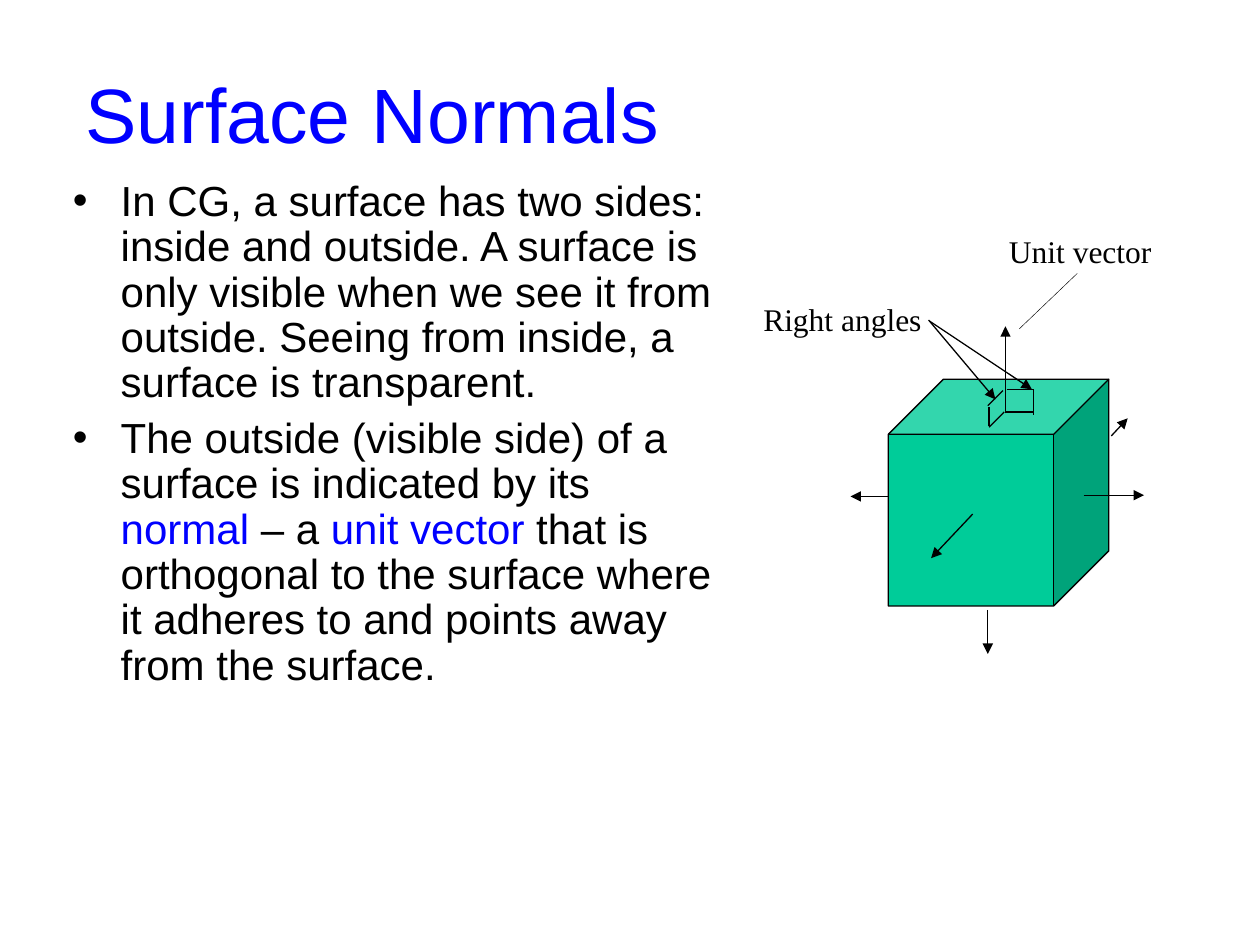
from lxml import etree
from pptx import Presentation, util as u
from pptx.dml.color import RGBColor
from pptx.enum import shapes, text
from pptx.oxml.ns import qn

BLUE = RGBColor(0x00, 0x00, 0xFF)
BLACK = RGBColor(0x00, 0x00, 0x00)
GREEN = RGBColor(0x00, 0xCC, 0x99)

COLUMNS, ROWS = 100, 75
CELL = u.Inches(0.1)

TITLE = {"name": "Arial", "size": u.Pt(44)}
BODY = {"name": "Arial", "size": u.Pt(24)}
LABEL = {"name": "Times New Roman", "size": u.Pt(18)}

BULLETS = [
    [("In CG, a surface has two sides: inside and outside. A surface is only "
      "visible when we see it from outside. Seeing from inside, a surface is "
      "transparent.", BLACK)],
    [("The outside (visible side) of a surface is indicated by its ", BLACK),
     ("normal", BLUE),
     (" – a ", BLACK),
     ("unit vector", BLUE),
     (" that is orthogonal to the surface where it adheres to and points "
      "away from the surface.", BLACK)],
]

NORMALS = [
    (79.8, 32.8, 79.8, 25.9),
    (77.2, 40.8, 73.9, 44.3),
    (86, 39.3, 90.8, 39.3),
    (78.4, 48.4, 78.4, 51.9),
    (70.5, 39.4, 67.5, 39.4),
    (88.2, 34.6, 89.5, 33.2),
]
RIGHT_ANGLES = [
    (79.9, 30.9, 82.1, 30.9),
    (82, 30.9, 82, 32.9),
    (79.6, 31, 78.4, 32.2),
    (79.7, 32.7, 78.5, 33.9),
    (78.5, 32.3, 78.5, 33.8),
    (79.8, 32.7, 82, 32.7),
]
POINTERS = [(73.8, 25.5, 81.9, 30.9), (73.7, 25.4, 79, 31.7)]


def grid(*cells):
    """Turn grid positions into slide lengths."""
    return [round(c * CELL) for c in cells]


def apply(obj, values):
    """Set each attribute in values on obj."""
    for name, value in values.items():
        setattr(obj, name, value)


def add_bullet(p):
    """Give a paragraph a hanging round bullet."""
    pPr = p._p.get_or_add_pPr()
    pPr.set("marL", str(u.Inches(0.38)))
    pPr.set("indent", str(-u.Inches(0.38)))
    color = etree.SubElement(pPr, qn("a:buClr"))
    etree.SubElement(color, qn("a:srgbClr"), val=str(BLACK))
    etree.SubElement(pPr, qn("a:buFont"), typeface="Arial")
    etree.SubElement(pPr, qn("a:buChar"), char="•")


def add_text(s, box, paragraphs, font, anchor=text.MSO_ANCHOR.TOP, bullets=False):
    """Add a wrapped text box of paragraphs made of coloured runs."""
    tf = s.shapes.add_textbox(*grid(*box)).text_frame
    apply(tf, {"word_wrap": True, "vertical_anchor": anchor})
    for i, runs in enumerate(paragraphs):
        p = tf.add_paragraph() if i else tf.paragraphs[0]
        if bullets:
            add_bullet(p)
            apply(p, {"line_spacing": 0.9, "space_before": u.Pt(6 if i else 0)})
        for words, color in runs:
            r = p.add_run()
            r.text = words
            apply(r.font, font)
            r.font.color.rgb = color


def add_cube(s, box):
    """Add the green cube."""
    sp = s.shapes.add_shape(shapes.MSO_SHAPE.CUBE, *grid(*box))
    sp.adjustments[0] = 0.25
    sp.shadow.inherit = False
    sp.fill.solid()
    sp.fill.fore_color.rgb = GREEN
    sp.line.color.rgb = BLACK
    sp.line.width = u.Pt(0.75)


def add_line(s, ends, width=0.75, arrow=False):
    """Add a black line, with an arrowhead at its end if asked."""
    c = s.shapes.add_connector(shapes.MSO_CONNECTOR.STRAIGHT, *grid(*ends))
    c.line.color.rgb = BLACK
    c.line.width = u.Pt(width)
    if arrow:
        etree.SubElement(c.line._get_or_add_ln(), qn("a:tailEnd"), type="triangle")
    etree.SubElement(c._element.spPr, qn("a:effectLst"))


def main():
    """Build the surface normals slide."""
    prs = Presentation()
    apply(prs, {"slide_width": COLUMNS * CELL, "slide_height": ROWS * CELL})
    s = prs.slides.add_slide(prs.slide_layouts[6])

    add_text(s, (5.8, 2.7, 87.9, 12.5), [[("Surface Normals", BLUE)]], TITLE,
             anchor=text.MSO_ANCHOR.MIDDLE)
    add_text(s, (4.8, 13.8, 52.9, 56.6), BULLETS, BODY, bullets=True)

    add_cube(s, (70.5, 30.1, 17.5, 18))
    for ends in NORMALS:
        add_line(s, ends, arrow=True)
    for ends in RIGHT_ANGLES:
        add_line(s, ends)
    for ends in POINTERS:
        add_line(s, ends, arrow=True)

    add_text(s, (59.6, 23.3, 17.6, 4), [[("Right angles", BLACK)]], LABEL)
    add_text(s, (79.1, 17.9, 17.6, 4), [[("Unit vector", BLACK)]], LABEL)
    add_line(s, (85.5, 21.7, 80.9, 26.1), width=0.25)

    prs.save("out.pptx")


if __name__ == "__main__":
    main()
